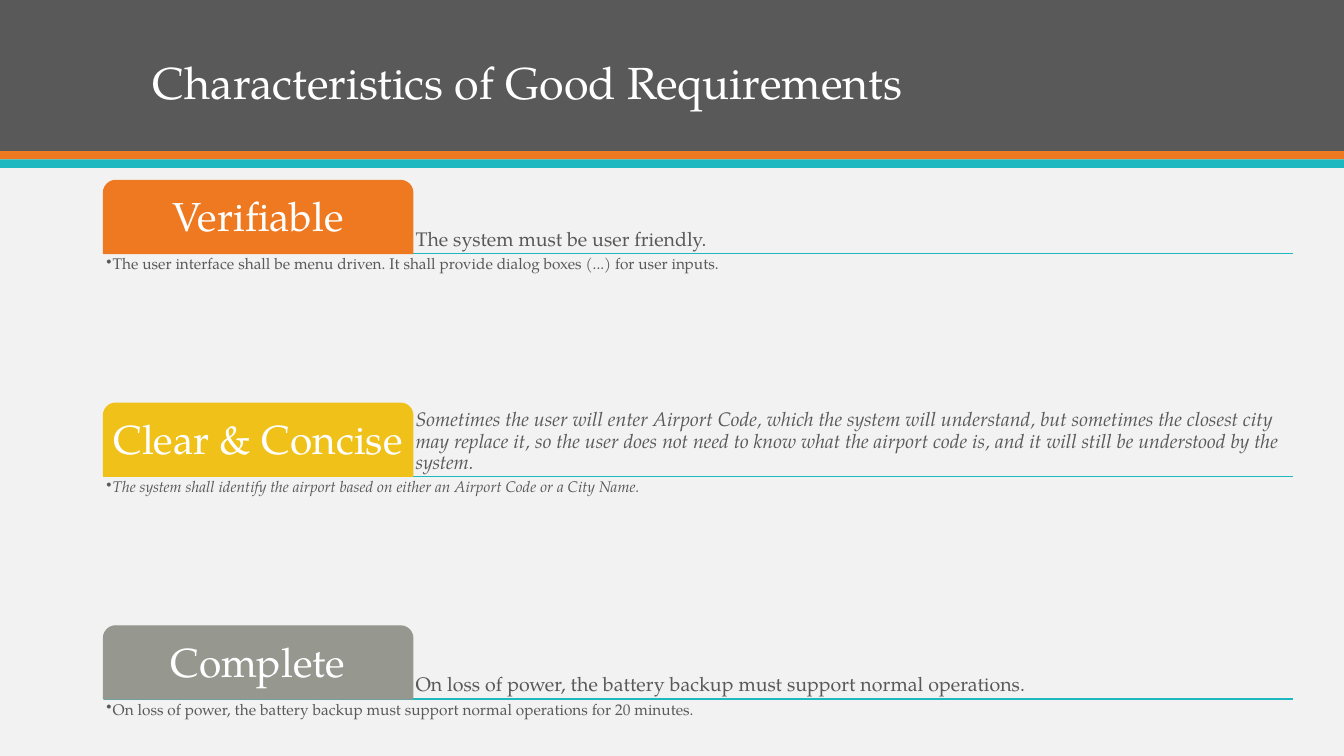
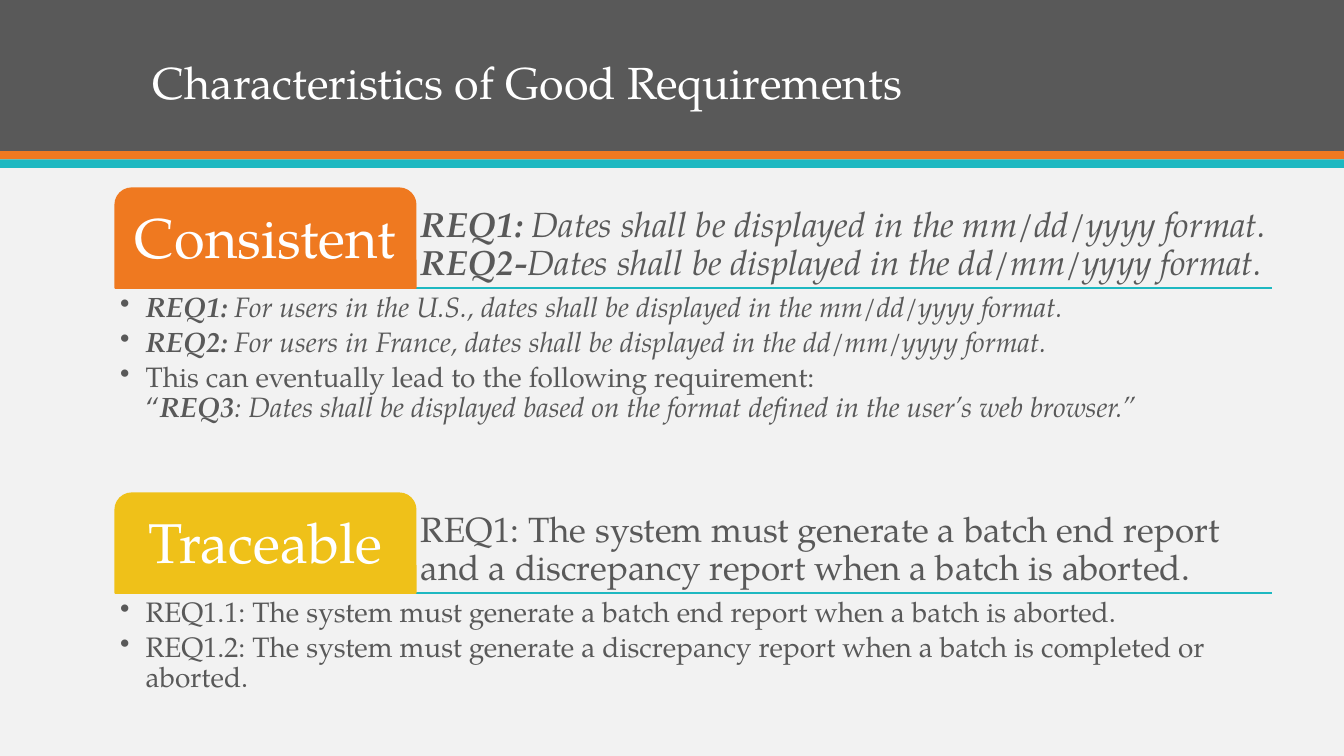
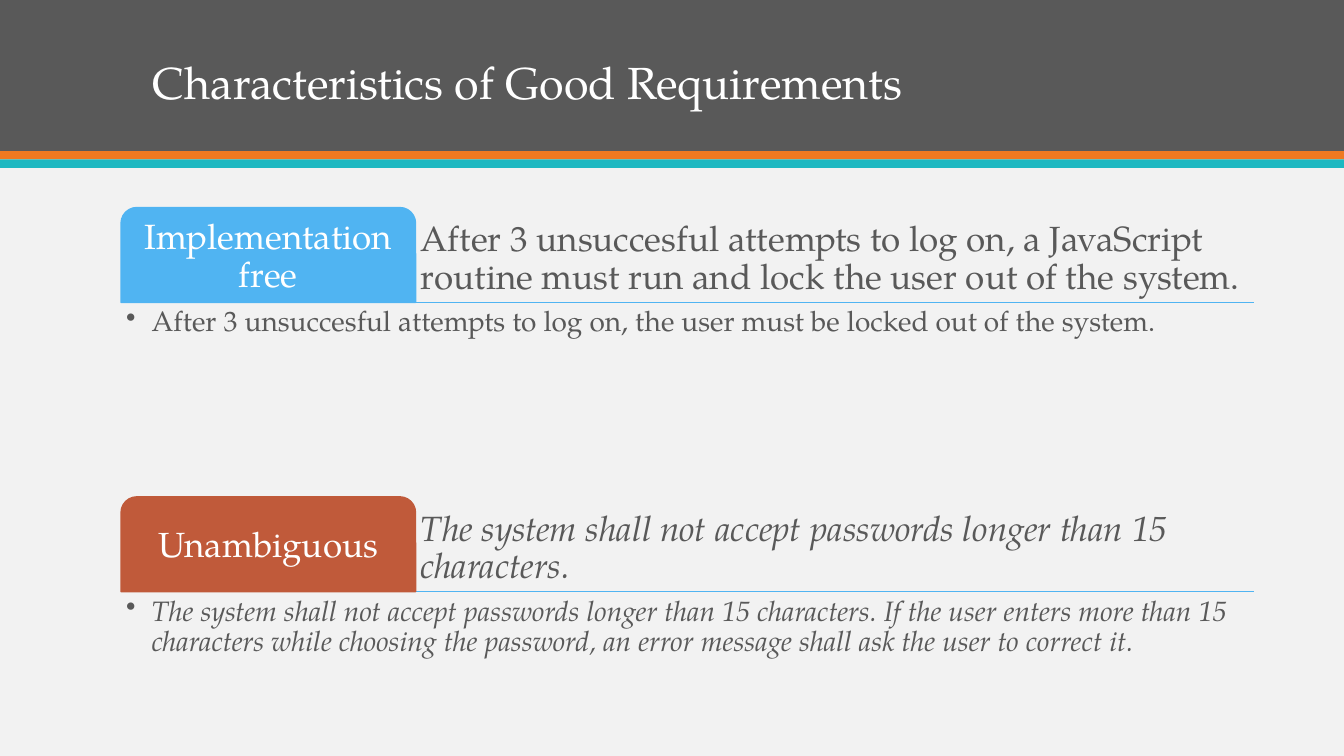
import lxml.etree
import pptx
import pptx.dml.color
import pptx.enum.shapes
import pptx.enum.text
import pptx.oxml.ns
import pptx.util

Cm, Pt = pptx.util.Cm, pptx.util.Pt
SHAPE = pptx.enum.shapes.MSO_SHAPE
ALIGN = pptx.enum.text.PP_ALIGN
ANCHOR = pptx.enum.text.MSO_ANCHOR
qn = pptx.oxml.ns.qn

GREY, ORANGE, TEAL, YELLOW = "595959", "EF7920", "1EB8C1", "EFC119"
STONE, BLUE, RUST = "969890", "50B4F2", "C05A3A"
PAPER, WHITE = "F2F2F2", "FFFFFF"


def rgb(value):
    return pptx.dml.color.RGBColor.from_string(value)


class Deck:
    """Holds the shared style and the current slide, and draws its elements."""

    font = "TeX Gyre Pagella"
    width, height = 33.87, 19.05
    bands = [(0, 3.81, GREY), (3.81, 0.21, ORANGE), (4.02, 0.21, TEAL)]

    def __init__(self):
        self.prs = pptx.Presentation()
        self.prs.slide_width, self.prs.slide_height = Cm(self.width), Cm(self.height)
        self.master = self.prs.slide_master
        fill = self.master.background.fill
        fill.solid()
        fill.fore_color.rgb = rgb(PAPER)
        self.s = None

    def slide(self, title):
        first = self.s is None
        self.s = self.prs.slides.add_slide(self.prs.slide_layouts[5])
        if first:
            self.share_bands()
        sp = self.s.shapes.title
        sp.left, sp.top, sp.width, sp.height = Cm(3.6), 0, Cm(26.67), Cm(2.87)
        self.text(sp, [[(title, "")]], 32, WHITE, ANCHOR.BOTTOM)

    def share_bands(self):
        for i, (top, height, color) in enumerate(self.bands):
            band = self.shape(SHAPE.RECTANGLE, 0, top, self.width, height, color)
            band.line.fill.background()
            band.element.nvSpPr.cNvPr.set("id", str(20 + i))
            self.master.shapes.element.insert(2 + i, band.element)

    def shape(self, kind, left, top, width, height, color):
        sp = self.s.shapes.add_shape(kind, Cm(left), Cm(top), Cm(width), Cm(height))
        sp.shadow.inherit = False
        sp.fill.solid()
        sp.fill.fore_color.rgb = rgb(color)
        sp.line.color.rgb = rgb(color)
        sp.line.width = Pt(1)
        return sp

    def box(self, left, top, width, height):
        return self.s.shapes.add_textbox(Cm(left), Cm(top), Cm(width), Cm(height))

    def rule(self, left, top, width, color):
        line = self.s.shapes.add_connector(
            pptx.enum.shapes.MSO_CONNECTOR.STRAIGHT,
            Cm(left), Cm(top), Cm(left + width), Cm(top))
        line.line.color.rgb = rgb(color)
        line.line.width = Pt(1)
        lxml.etree.SubElement(line.element.spPr, qn("a:effectLst"))

    def text(self, sp, paragraphs, size, color, anchor, align=ALIGN.LEFT,
             inset=None, indent=None):
        tf = sp.text_frame
        frame = dict(word_wrap=True, vertical_anchor=anchor,
                     auto_size=pptx.enum.text.MSO_AUTO_SIZE.NONE)
        if inset is not None:
            for side in ("left", "top", "right", "bottom"):
                frame["margin_" + side] = Cm(inset)
        for key, value in frame.items():
            setattr(tf, key, value)
        for i, runs in enumerate(paragraphs):
            p = tf.add_paragraph() if i else tf.paragraphs[0]
            p.alignment, p.line_spacing = align, 0.9
            if indent:
                p.space_after = Pt(3.3)
                self.bullet(p, indent)
            for content, style in runs:
                if content == "\n":
                    p.add_line_break()
                else:
                    self.run(p, content, style, size, color)

    def bullet(self, p, indent):
        pPr = p._p.get_or_add_pPr()
        pPr.set("marL", str(Cm(indent)))
        pPr.set("indent", str(-Cm(indent)))
        lxml.etree.SubElement(pPr, qn("a:buChar")).set("char", "•")

    def run(self, p, content, style, size, color):
        r = p.add_run()
        r.text = content
        values = dict(name=self.font, size=Pt(size), bold="b" in style, italic="i" in style)
        for key, value in values.items():
            setattr(r.font, key, value)
        r.font.color.rgb = rgb(color)

    def rows(self, rows, left, top, width, height, sizes, insets, indent, line_color):
        tab_size, lead_size, detail_size = sizes
        tab_inset, inset = insets
        tab_width = 0.26 * width
        for i, (name, color, lead, details) in enumerate(rows):
            y = top + i * 3.05 * height
            base = y + height
            self.rule(left, base, width, line_color)
            sp = self.box(left + tab_width, y, width - tab_width, height)
            self.text(sp, [lead], lead_size, GREY, ANCHOR.BOTTOM, inset=inset)
            sp = self.shape(SHAPE.ROUND_2_SAME_RECTANGLE, left, y, tab_width, height, color)
            self.text(sp, [[(name, "")]], tab_size, WHITE, ANCHOR.MIDDLE,
                      ALIGN.CENTER, tab_inset)
            sp = self.box(left, base, width, 2 * height)
            self.text(sp, details, detail_size, GREY, ANCHOR.TOP,
                      inset=inset, indent=indent)


TITLE = "Characteristics of Good Requirements"

QUALITY_ROWS = [
    ("Verifiable", ORANGE,
     [("The system must be user friendly.", "")],
     [[("The user interface shall be menu driven. It shall provide dialog boxes (...) "
        "for user inputs.", "")]]),
    ("Clear & Concise", YELLOW,
     [("Sometimes the user will enter Airport Code, which the system will understand, "
       "but sometimes the closest city may replace it, so the user does not need to know "
       "what the airport code is, and it will still be understood by the system.", "i")],
     [[("The system shall identify the airport based on either an Airport Code "
        "or a City Name.", "i")]]),
    ("Complete", STONE,
     [("On loss of power, the battery backup must support normal operations.", "")],
     [[("On loss of power, the battery backup must support normal operations "
        "for 20 minutes.", "")]]),
]

CONSISTENCY_ROWS = [
    ("Consistent", ORANGE,
     [("REQ1: ", "bi"), ("Dates shall be displayed in the mm/dd/yyyy format. ", "i"),
      ("REQ2-", "bi"), ("Dates shall be displayed in the dd/mm/yyyy format.", "i")],
     [[("REQ1: ", "bi"),
       ("For users in the U.S., dates shall be displayed in the mm/dd/yyyy format.", "i")],
      [("REQ2: ", "bi"),
       ("For users in France, dates shall be displayed in the dd/mm/yyyy format.", "i")],
      [("This can eventually lead to the following requirement:", ""), ("\n", ""),
       ("“", ""), ("REQ3", "bi"),
       (": Dates shall be displayed based on the format defined in the user’s "
        "web browser.”", "i")]]),
    ("Traceable", YELLOW,
     [("REQ1: The system must generate a batch end report and a discrepancy report "
       "when a batch is aborted.", "")],
     [[("REQ1.1: The system must generate a batch end report when a batch is aborted.", "")],
      [("REQ1.2: The system must generate a discrepancy report when a batch is completed "
        "or aborted.", "")]]),
]

CLARITY_ROWS = [
    ("Implementation free", BLUE,
     [("After 3 unsuccesful attempts to log on, a JavaScript routine must run and lock "
       "the user out of the system.", "")],
     [[("After 3 unsuccesful attempts to log on, the user must be locked out "
        "of the system.", "")]]),
    ("Unambiguous", RUST,
     [("The system shall not accept passwords longer than 15 characters.", "i")],
     [[("The system shall not accept passwords longer than 15 characters. If the user "
        "enters more than 15 characters while choosing the password, an error message "
        "shall ask the user to correct it.", "i")]]),
]


def main():
    deck = Deck()
    deck.slide(TITLE)
    deck.rows(QUALITY_ROWS, 2.61, 4.55, 29.97, 1.84, sizes=(29, 14, 11),
              insets=(0.14, 0.07), indent=0.16, line_color=TEAL)
    deck.slide(TITLE)
    deck.rows(CONSISTENCY_ROWS, 2.9, 4.74, 29.15, 2.52, sizes=(40, 25, 20),
              insets=(0.2, 0.13), indent=0.64, line_color=TEAL)
    deck.slide(TITLE)
    deck.rows(CLARITY_ROWS, 3.05, 5.23, 28.55, 2.39, sizes=(25, 25, 20),
              insets=(0.13, 0.13), indent=0.64, line_color=BLUE)
    deck.prs.save("out.pptx")


if __name__ == "__main__":
    main()
